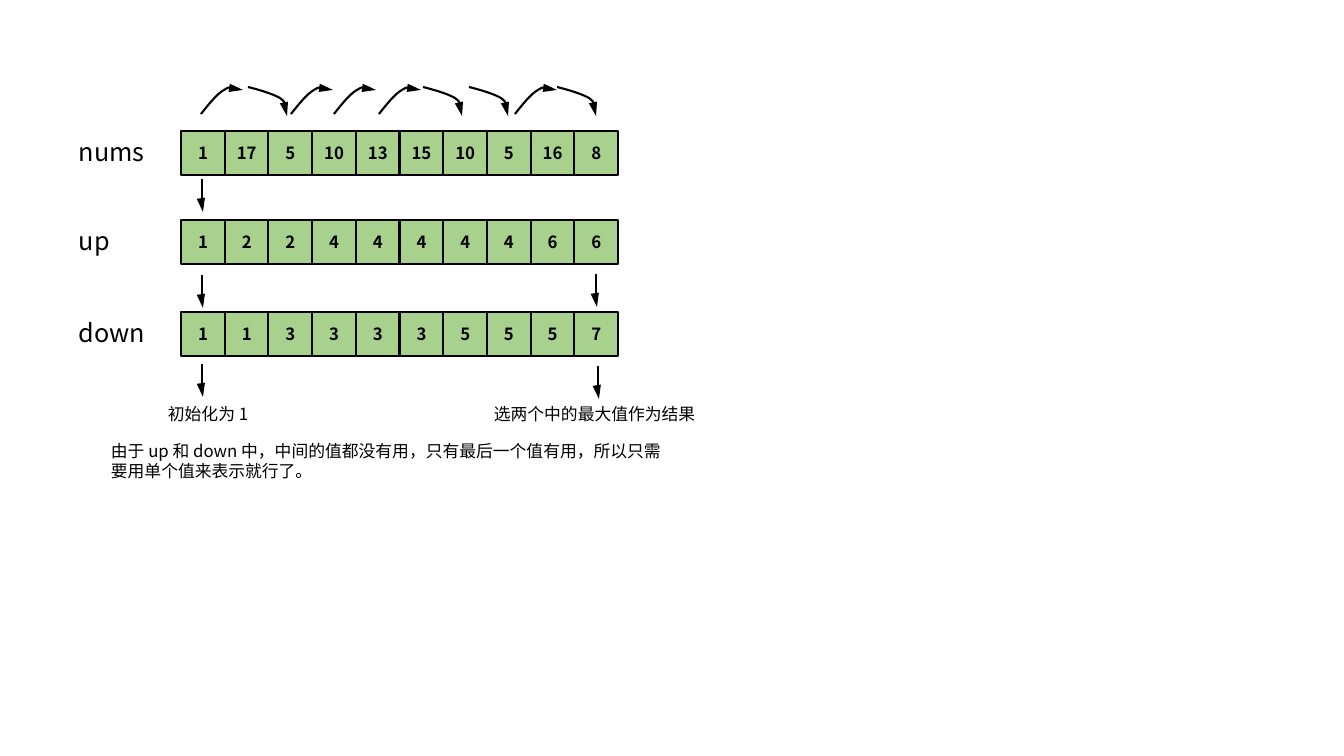
"""Build the slide that traces the up and down arrays over nums."""
import typing

import pptx
import pptx.dml.color
import pptx.enum.shapes
import pptx.enum.text
import pptx.oxml
import pptx.oxml.ns
import pptx.util

SCALE = 914400 / 100.8
FONT = "Noto Sans CJK SC"
BLACK = pptx.dml.color.RGBColor(0x00, 0x00, 0x00)
GREEN = pptx.dml.color.RGBColor(0xA9, 0xD1, 0x8E)
LEFT = 181
CELL = 44
PITCH = 43.7


class Row(typing.NamedTuple):
    """A named array with its top edge and label width."""
    name: str
    top: int
    width: int
    values: list[int]


class Note(typing.NamedTuple):
    """A caption and its box."""
    text: str
    left: int
    top: int
    width: int
    height: int


class Curve(typing.NamedTuple):
    """Two joined cubic curves, as offsets from each start."""
    starts: list[tuple[int, int]]
    points: list[tuple[int, int]]


ROWS = [
    Row("nums", 131, 88, [1, 17, 5, 10, 13, 15, 10, 5, 16, 8]),
    Row("up", 220, 52, [1, 2, 2, 4, 4, 4, 4, 4, 6, 6]),
    Row("down", 312, 92, [1, 1, 3, 3, 3, 3, 5, 5, 5, 7]),
]
NOTES = [
    Note("初始化为 1", 158, 399, 108, 30),
    Note("选两个中的最大值作为结果", 484, 399, 224, 30),
    Note("由于 up 和 down 中，中间的值都没有用，只有最后一个值有用，"
         "所以只需要用单个值来表示就行了。", 101, 436, 572, 50),
]
RISE = Curve([(x, 114) for x in (201, 291, 334, 379, 515)],
             [(8, -10), (16, -20), (23, -24), (30, -28), (36, -26), (42, -24)])
FALL = Curve([(x, 87) for x in (248, 423, 469, 557)],
             [(12, 3), (25, 7), (32, 11), (38, 16), (39, 23), (39, 29)])
DROP = Curve([(202, 179), (202, 275), (202, 364), (596, 274), (598, 366)],
             [(0, 13), (0, 27), (0, 33), (0, 38), (-1, 26), (1, 33)])


def emu(pixels: float) -> pptx.util.Emu:
    """Turn pixels into EMU."""
    return pptx.util.Emu(round(pixels * SCALE))


def make(tag: str, marks: str = ""):
    """Make one empty drawing element."""
    return pptx.oxml.parse_xml(f'<a:{tag} {pptx.oxml.ns.nsdecls("a")} {marks}/>')


def write(frame, text: str, *, size: int = 12, bold: bool = False,
          align=pptx.enum.text.PP_ALIGN.LEFT,
          anchor=pptx.enum.text.MSO_ANCHOR.TOP, wrap: bool = True) -> None:
    """Fill a text frame with one styled run."""
    frame.word_wrap = wrap
    frame.vertical_anchor = anchor
    line = frame.paragraphs[0]
    line.alignment = align
    run = line.add_run()
    run.text = text
    run.font.name = FONT
    run.font.size = pptx.util.Pt(size)
    run.font.bold = bold
    run.font.color.rgb = BLACK
    latin = run.font._element.find(pptx.oxml.ns.qn("a:latin"))
    latin.addnext(make("ea", f'typeface="{FONT}"'))


def stroke(shape) -> None:
    """Set the black line and drop the shadow."""
    shape.shadow.inherit = False
    shape.line.color.rgb = BLACK
    shape.line.width = pptx.util.Pt(1.5)


def add_text(slide, note: Note, **style) -> None:
    """Add a text box."""
    box = slide.shapes.add_textbox(*map(emu, note[1:]))
    write(box.text_frame, note.text, **style)
    box.text_frame.auto_size = pptx.enum.text.MSO_AUTO_SIZE.SHAPE_TO_FIT_TEXT


def add_row(slide, row: Row) -> None:
    """Draw a label and its line of cells."""
    add_text(slide, Note(row.name, 69, row.top, row.width, 40), size=18, wrap=False)
    for i, value in enumerate(row.values):
        cell = slide.shapes.add_shape(
            pptx.enum.shapes.MSO_SHAPE.RECTANGLE,
            emu(LEFT + i * PITCH), emu(row.top), emu(CELL), emu(CELL))
        cell.fill.solid()
        cell.fill.fore_color.rgb = GREEN
        stroke(cell)
        write(cell.text_frame, str(value), bold=True,
              align=pptx.enum.text.PP_ALIGN.CENTER,
              anchor=pptx.enum.text.MSO_ANCHOR.MIDDLE)


def bend(shape) -> None:
    """Turn each three line segments into one cubic curve."""
    lines = list(shape._element.iter(pptx.oxml.ns.qn("a:lnTo")))
    for first in range(0, len(lines), 3):
        cubic = make("cubicBezTo")
        lines[first].addprevious(cubic)
        for line in lines[first:first + 3]:
            cubic.append(line[0])
            line.getparent().remove(line)


def add_curve(slide, curve: Curve) -> None:
    """Draw the same curved arrow at each start."""
    for left, top in curve.starts:
        pen = slide.shapes.build_freeform(emu(left), emu(top))
        pen.add_line_segments([(emu(left + x), emu(top + y))
                               for x, y in curve.points], close=False)
        shape = pen.convert_to_shape()
        bend(shape)
        shape.fill.background()
        stroke(shape)
        shape.line._get_or_add_ln().append(
            make("tailEnd", 'type="triangle" w="med" len="lg"'))


def main() -> None:
    """Draw the slide and save it."""
    deck = pptx.Presentation()
    deck.slide_width, deck.slide_height = emu(1344), emu(756)
    slide = deck.slides.add_slide(deck.slide_layouts[6])
    for row in ROWS:
        add_row(slide, row)
    for curve in (RISE, FALL, DROP):
        add_curve(slide, curve)
    for note in NOTES:
        add_text(slide, note)
    deck.save("out.pptx")


main()
